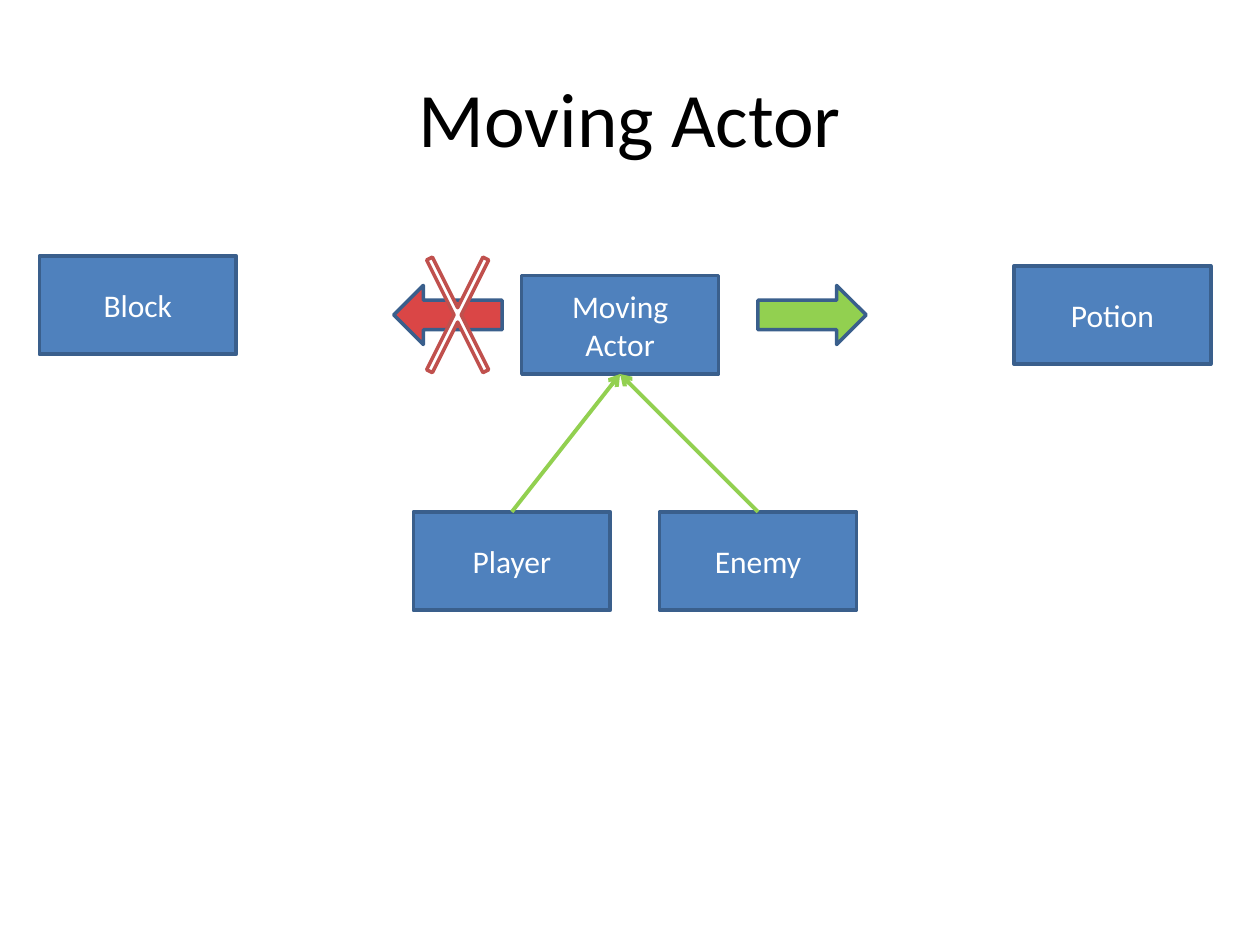
from lxml import etree
from pptx import Presentation
from pptx import util as u
from pptx.dml.color import RGBColor
from pptx.enum import shapes as s, text as t
from pptx.oxml.ns import qn

Pt = u.Pt
FONT = "Calibri"
BLUE, EDGE, GREEN, RED = "4F81BD", "3A5F8C", "92D050", "DA4646"
WHITE, BLACK, BRICK = "FFFFFF", "000000", "C0504D"
BOX = (112.5, 56.25)
ARROW = (61.9, 33.75)


def paint(color, code):
    color.rgb = RGBColor.from_string(code)


def write(frame, words, size, code):
    frame.text = words
    frame.vertical_anchor = t.MSO_ANCHOR.MIDDLE
    par = frame.paragraphs[0]
    par.alignment = t.PP_ALIGN.CENTER
    font = par.runs[0].font
    font.name, font.size = FONT, Pt(size)
    paint(font.color, code)


def add_form(slide, kind, spot, size, fill, edge=EDGE):
    form = slide.shapes.add_shape(kind, *map(Pt, spot + size))
    form.shadow.inherit = False
    form.fill.solid()
    paint(form.fill.fore_color, fill)
    paint(form.line.color, edge)
    form.line.width = Pt(2)
    return form


def add_box(slide, words, spot):
    box = add_form(slide, s.MSO_SHAPE.RECTANGLE, spot, BOX, BLUE)
    box.text_frame.word_wrap = True
    write(box.text_frame, words, 18, WHITE)
    return box


def add_link(slide, child, base):
    """Arrow from the top of the child to the bottom of its base."""
    link = slide.shapes.add_connector(s.MSO_CONNECTOR.STRAIGHT, 0, 0, 0, 0)
    link.begin_connect(child, 0)
    link.end_connect(base, 2)
    paint(link.line.color, GREEN)
    link.line.width = Pt(2.25)
    etree.SubElement(link.line._get_or_add_ln(), qn("a:tailEnd"), type="arrow")
    etree.SubElement(link._element.spPr, qn("a:effectLst"))


def main():
    deck = Presentation()
    deck.slide_width, deck.slide_height = Pt(720), Pt(540)
    slide = deck.slides.add_slide(deck.slide_layouts[5])

    # Title
    title = slide.shapes.title
    title.left, title.top, title.width, title.height = map(Pt, (36, 21.6, 648, 90))
    write(title.text_frame, "Moving Actor", 44, BLACK)

    # Base class and the classes derived from it
    actor = add_box(slide, "Moving Actor", (298.1, 157.5))
    kids = [add_box(slide, name, (left, 292.5))
            for name, left in (("Player", 236.25), ("Enemy", 376.9))]
    for kid in kids:
        add_link(slide, kid, actor)

    # Allowed move to the right, blocked move to the left
    add_form(slide, s.MSO_SHAPE.RIGHT_ARROW, (433.1, 163.1), ARROW, GREEN)
    back = add_form(slide, s.MSO_SHAPE.RIGHT_ARROW, (225, 163.1), ARROW, RED)
    back.rotation = 180
    cross = add_form(slide, s.MSO_SHAPE.MATH_MULTIPLY, (230.6, 118.1),
                     (61.9, 123.75), WHITE, BRICK)
    cross.adjustments[0] = 0.059

    # Things the actor can meet
    add_box(slide, "Potion", (579.4, 151.9))
    add_box(slide, "Block", (22.5, 146.25))

    deck.save("out.pptx")


if __name__ == "__main__":
    main()
